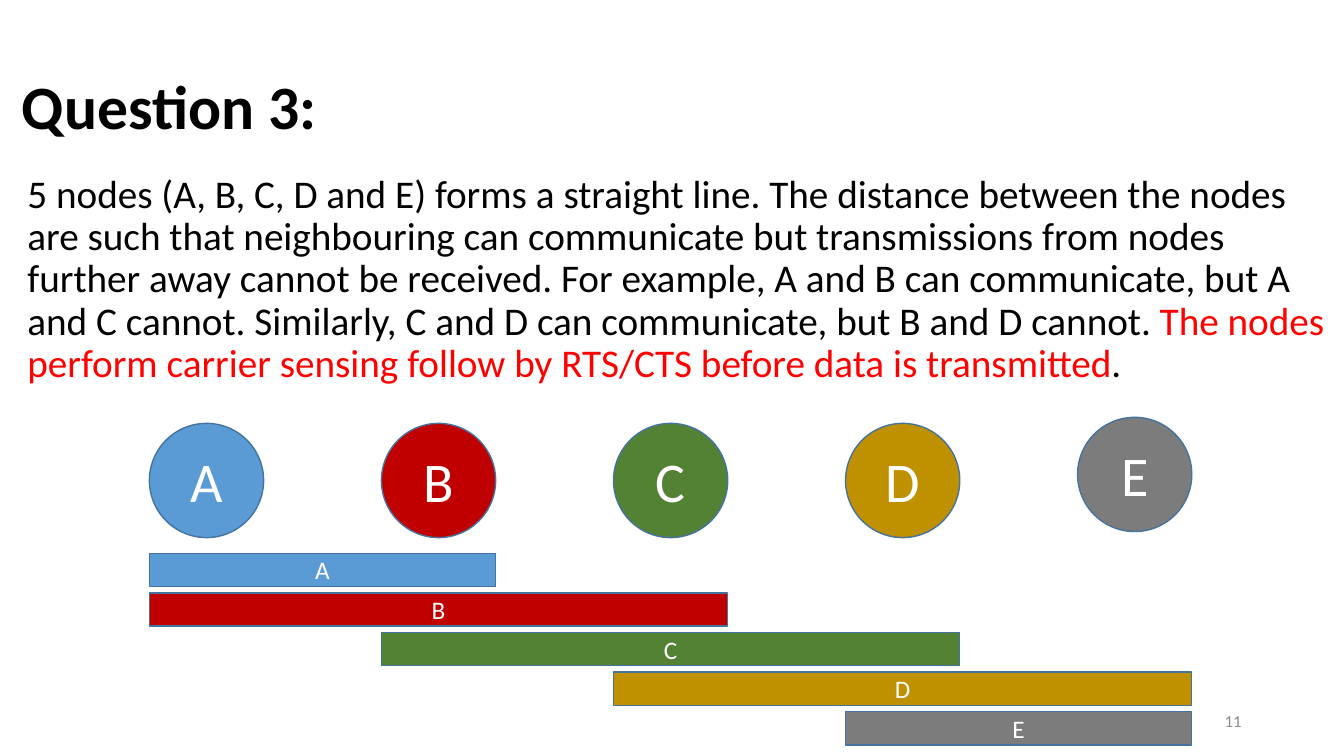
from dataclasses import dataclass

from pptx import Presentation
from pptx import util as u
from pptx.dml.color import RGBColor
from pptx.enum import shapes, text


@dataclass(frozen=True)
class Theme:
    font: str = "Calibri"
    ink: str = "000000"
    accent: str = "FF0000"
    muted: str = "8C8C8C"
    light: str = "FFFFFF"
    outline: str = "43739E"
    title: int = 44
    body: int = 28
    node: int = 40
    bar: int = 18
    number: int = 12


NODES = {"A": "5B9BD5", "B": "C00000", "C": "548235", "D": "BF9000", "E": "7C7C7C"}
NODE_LEFT, NODE_TOP, NODE_STEP, NODE_SIZE = 106.7, 302.4, 165.75, 81.6
LAST_NODE_RISE = 4.3
BAR_TOP, BAR_STEP, BAR_HEIGHT = 395.2, 28.3, 23.8

QUESTION = (
    "5 nodes (A, B, C, D and E) forms a straight line. The distance between the "
    "nodes are such that neighbouring can communicate but transmissions from nodes "
    "further away cannot be received. For example, A and B can communicate, but A "
    "and C cannot. Similarly, C and D can communicate, but B and D cannot. "
)
SENSING = "The nodes perform carrier sensing follow by RTS/CTS before data is transmitted"


class Builder:
    def __init__(self, s, theme):
        self.s = s
        self.theme = theme

    def style(self, r, size, color, bold=False):
        r.font.name = self.theme.font
        r.font.size = u.Pt(size)
        r.font.bold = bold
        r.font.color.rgb = RGBColor.from_string(color)

    def text(self, box, runs, size, bold=False, anchor=text.MSO_ANCHOR.MIDDLE,
             align=text.PP_ALIGN.LEFT, spacing=1.0, before=0):
        """Add a text box; box is left, top, width, height and runs are (words, colour)."""
        sp = self.s.shapes.add_textbox(*map(u.Pt, box))
        tf = sp.text_frame
        tf.word_wrap = True
        tf.vertical_anchor = anchor
        p = tf.paragraphs[0]
        p.alignment = align
        p.line_spacing = spacing
        p.space_before = u.Pt(before)
        for words, color in runs:
            r = p.add_run()
            r.text = words
            self.style(r, size, color, bold)

    def shape(self, kind, box, label, fill, size):
        sp = self.s.shapes.add_shape(kind, *map(u.Pt, box))
        sp.shadow.inherit = False
        sp.fill.solid()
        sp.fill.fore_color.rgb = RGBColor.from_string(fill)
        sp.line.color.rgb = RGBColor.from_string(self.theme.outline)
        sp.line.width = u.Pt(1)
        tf = sp.text_frame
        tf.text = label
        tf.vertical_anchor = text.MSO_ANCHOR.MIDDLE
        p = tf.paragraphs[0]
        p.alignment = text.PP_ALIGN.CENTER
        self.style(p.runs[0], size, self.theme.light)

    def node(self, i, label, fill):
        top = NODE_TOP - (LAST_NODE_RISE if i == len(NODES) - 1 else 0)
        box = (NODE_LEFT + i * NODE_STEP, top, NODE_SIZE, NODE_SIZE)
        self.shape(shapes.MSO_SHAPE.OVAL, box, label, fill, self.theme.node)

    def range_bar(self, i, label, fill):
        """Add the bar that spans a node and its direct neighbours."""
        first, last = max(i - 1, 0), min(i + 1, len(NODES) - 1)
        box = (NODE_LEFT + first * NODE_STEP, BAR_TOP + i * BAR_STEP,
               (last - first) * NODE_STEP + NODE_SIZE, BAR_HEIGHT)
        self.shape(shapes.MSO_SHAPE.RECTANGLE, box, label, fill, self.theme.bar)


def main():
    prs = Presentation()
    prs.slide_width, prs.slide_height = u.Pt(960), u.Pt(540)
    theme = Theme()
    b = Builder(prs.slides.add_slide(prs.slide_layouts[6]), theme)

    b.text((8.6, 26, 828, 104.4), [("Question 3:", theme.ink)], theme.title,
           bold=True, spacing=0.9)
    b.text((12.5, 121, 947.5, 205),
           [(QUESTION, theme.ink), (SENSING, theme.accent), (".", theme.ink)],
           theme.body, anchor=text.MSO_ANCHOR.TOP, spacing=0.9, before=10)
    for add in (b.node, b.range_bar):
        for i, (label, fill) in enumerate(NODES.items()):
            add(i, label, fill)
    b.text((678, 500.5, 216, 28.8), [("11", theme.muted)], theme.number,
           align=text.PP_ALIGN.RIGHT)

    prs.save("out.pptx")


if __name__ == "__main__":
    main()
